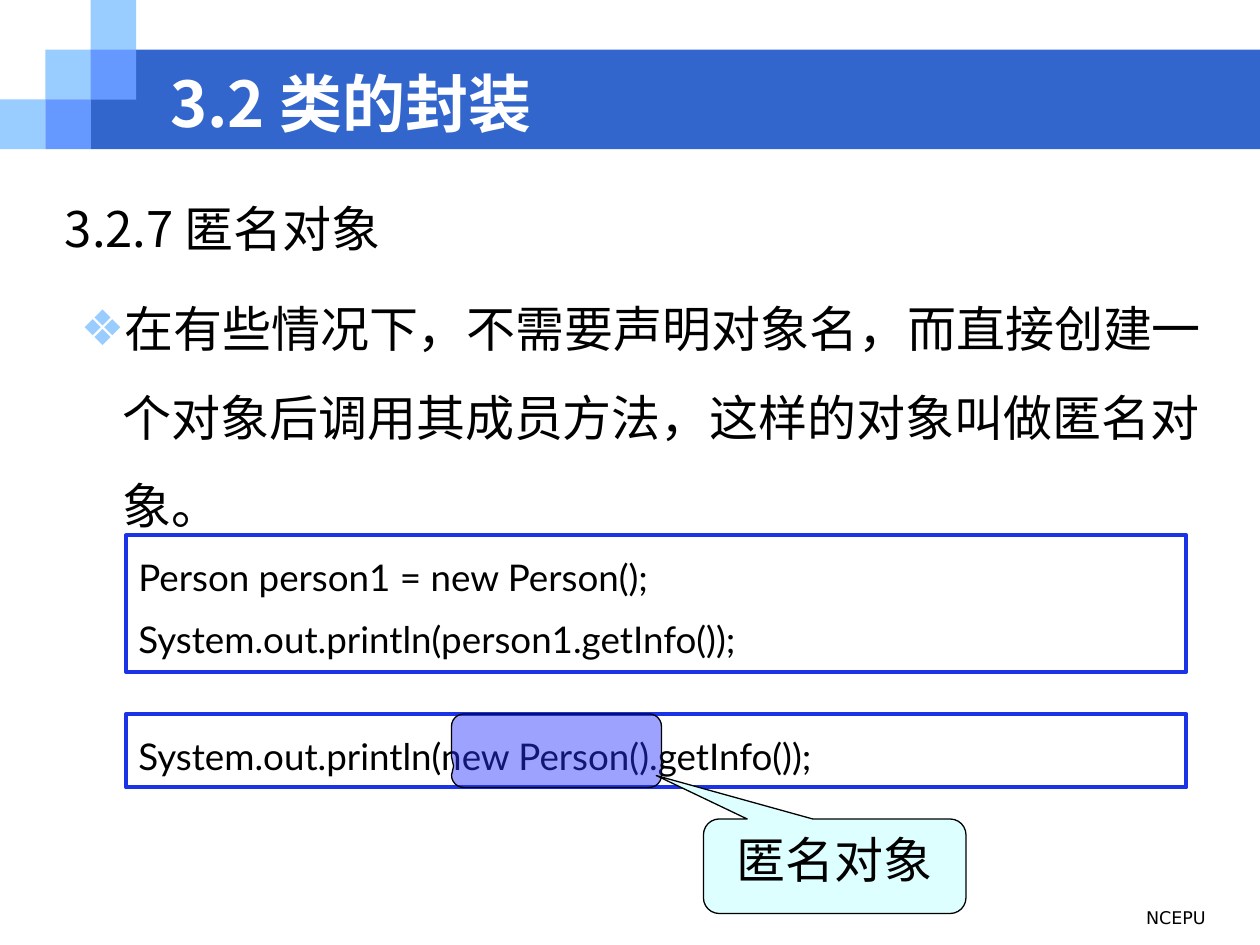
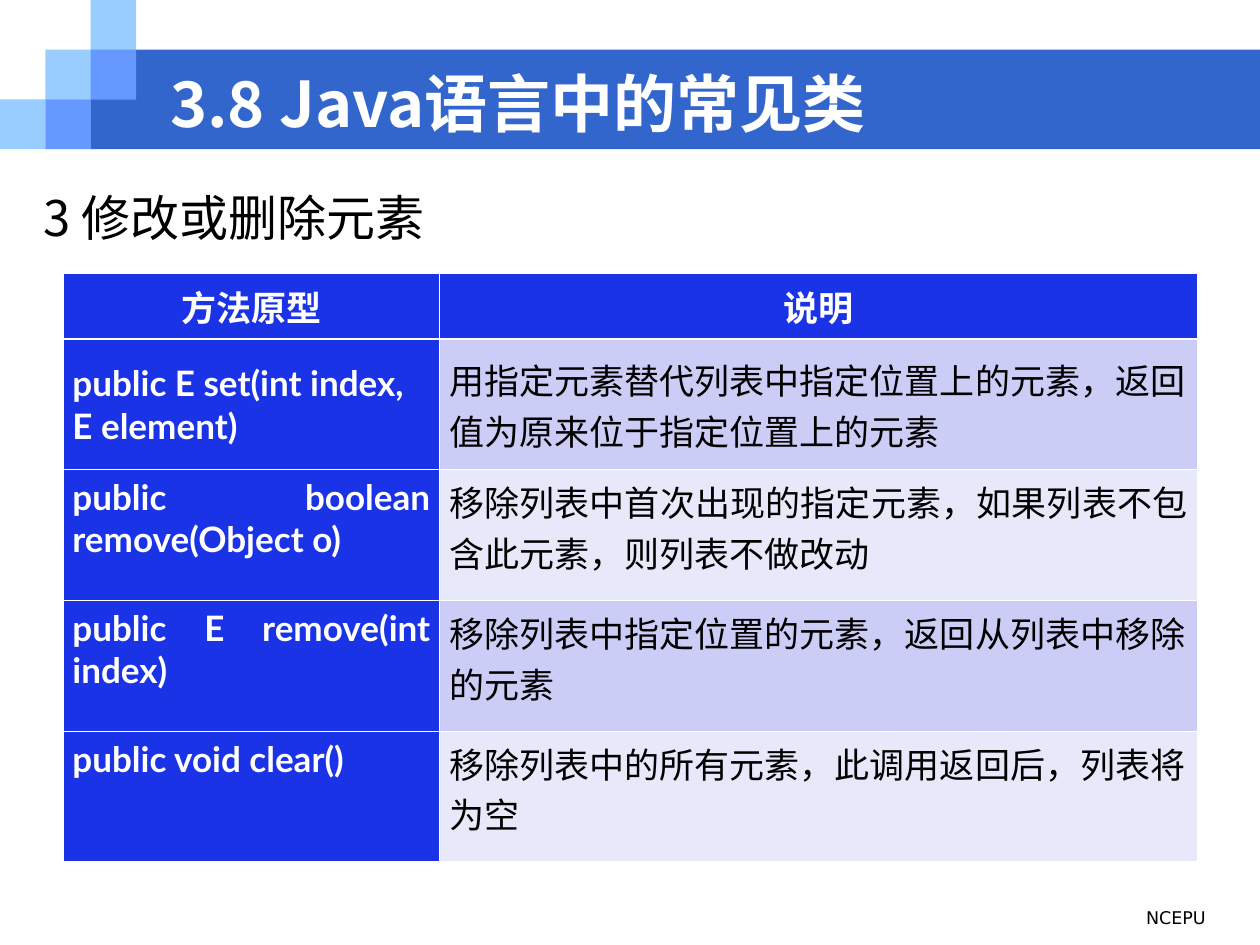
from lxml.etree import SubElement
from pptx import Presentation
from pptx.dml.color import RGBColor
from pptx.enum.shapes import MSO_SHAPE
from pptx.enum.text import MSO_ANCHOR, PP_ALIGN
from pptx.oxml import parse_xml
from pptx.oxml.ns import nsdecls, qn
from pptx.util import Pt

CJK, LATIN, FOOTER_FONT = "Noto Sans CJK SC", "Lato", "DejaVu Sans"
BAND, LIGHT, MID = "3366CC", "99CCFF", "6699FF"
BLUE, BLACK, WHITE = "1B33E7", "000000", "FFFFFF"
STRIPES = ["CCCDF6", "E7E8FA"]

BANDS = [
    (51.8, 28.4, 668.2, 56.8, BAND),
    (0, 56.8, 26, 28.5, LIGHT),
    (26, 28.4, 26, 28.5, LIGHT),
    (51.8, 0, 26, 28.5, LIGHT),
    (51.8, 28.4, 26, 28.5, MID),
    (26, 56.8, 26, 28.5, MID),
]
FOOTER = "NCEPU"

OBJECT_TITLE = "3.2 类的封装"
OBJECT_BODY = [
    "3.2.7 匿名对象",
    "在有些情况下，不需要声明对象名，而直接创建一个对象后调用其成员方法，这样的对象叫做匿名对象。",
]
CODE_BOXES = [
    (306, 78, ["Person person1 = new Person();", "System.out.println(person1.getInfo());"]),
    (408, 42, ["System.out.println(new Person().getInfo());"]),
]
CALLOUT = "匿名对象"

LIST_TITLE = "3.8 Java语言中的常见类"
LIST_BODY = ["3 修改或删除元素"]
COLUMNS = [215.3, 432.7]
HEADER_HEIGHT, ROW_HEIGHT = 37.4, 74.7
L, C, J = PP_ALIGN.LEFT, PP_ALIGN.CENTER, PP_ALIGN.JUSTIFY
METHODS = [
    (("方法原型", C), ("说明", C)),
    (("public E set(int index, E element)", L),
     ("用指定元素替代列表中指定位置上的元素，返回值为原来位于指定位置上的元素", L)),
    (("public boolean remove(Object o)", J),
     ("移除列表中首次出现的指定元素，如果列表不包含此元素，则列表不做改动", J)),
    (("public E remove(int index)", J), ("移除列表中指定位置的元素，返回从列表中移除的元素", L)),
    (("public void clear()", J), ("移除列表中的所有元素，此调用返回后，列表将为空", L)),
]


def rgb(color):
    """Turn a hex string into a colour."""
    return RGBColor.from_string(color)


def style(p, size, font, color=BLACK, bold=False, align=L):
    """Format a paragraph and its runs, with the CJK font for Chinese text."""
    p.alignment = align
    for r in p.runs:
        r.font.size, r.font.name, r.font.bold = Pt(size), font, bold
        r.font.color.rgb = rgb(color)
        SubElement(r.font._element, qn("a:ea")).set("typeface", CJK)


def add_shape(s, kind, box, fill, line=None, width=0.75):
    """Add a flat shape with an optional outline."""
    sp = s.shapes.add_shape(kind, *map(Pt, box))
    sp.shadow.inherit = False
    sp.fill.solid()
    sp.fill.fore_color.rgb = rgb(fill)
    if line:
        sp.line.color.rgb = rgb(line)
        sp.line.width = Pt(width)
    else:
        sp.line.fill.background()
    return sp


def set_text(sp, lines):
    """Fill a shape with wrapped paragraphs from the top and return them."""
    tf = sp.text_frame
    tf.word_wrap = True
    tf.vertical_anchor = MSO_ANCHOR.TOP
    tf.text = "\n".join(lines)
    return tf.paragraphs


def add_bullet(p):
    """Give a paragraph a hanging diamond bullet."""
    pPr = p._p.get_or_add_pPr()
    pPr.set("marL", str(Pt(33)))
    pPr.set("indent", str(Pt(-24)))
    SubElement(SubElement(pPr, qn("a:buClr")), qn("a:srgbClr")).set("val", LIGHT)
    SubElement(pPr, qn("a:buFont")).set("typeface", FOOTER_FONT)
    SubElement(pPr, qn("a:buChar")).set("char", "❖")


def add_slide(prs, title):
    """Add a slide with the bands, footer and title."""
    s = prs.slides.add_slide(prs.slide_layouts[5])
    for *box, color in BANDS:
        add_shape(s, MSO_SHAPE.RECTANGLE, box, color)
    footer = s.shapes.add_textbox(*map(Pt, (468, 515, 228, 25)))
    style(set_text(footer, [FOOTER])[0], 10, FOOTER_FONT, align=PP_ALIGN.RIGHT)
    sp = s.shapes.title
    s.shapes.element.append(sp.element)
    sp.left, sp.top, sp.width, sp.height = map(Pt, (90, 39.6, 582, 38.2))
    p = set_text(sp, [title])[0]
    sp.text_frame.vertical_anchor = MSO_ANCHOR.MIDDLE
    style(p, 36, CJK, WHITE, True)
    return s


def add_body(s, box, lines):
    """Add a heading line followed by bulleted paragraphs."""
    sp = s.shapes.add_textbox(*map(Pt, box))
    sp.text_frame.margin_top = Pt(6.6)
    for i, p in enumerate(set_text(sp, lines)):
        p.line_spacing = Pt(50.4)
        if i:
            p.space_before = Pt(7)
            add_bullet(p)
        style(p, 28, CJK)


def add_callout(s, box, fill, tip):
    """Add a rounded callout whose tip is given relative to its centre."""
    sp = add_shape(s, MSO_SHAPE.ROUNDED_RECTANGULAR_CALLOUT, box, fill, BLACK)
    sp.adjustments[0], sp.adjustments[1] = tip
    return sp


def set_borders(cell, top, bottom):
    """Give a cell white borders."""
    tcPr = cell._tc.get_or_add_tcPr()
    sides = {"lnL": 0.45, "lnR": 0.45, "lnT": top, "lnB": bottom}
    for i, (tag, width) in enumerate(sides.items()):
        tcPr.insert(i, parse_xml(
            f'<a:{tag} {nsdecls("a")} w="{Pt(width)}"><a:solidFill>'
            f'<a:srgbClr val="{WHITE}"/></a:solidFill></a:{tag}>'))


def add_methods(s):
    """Add the table of list methods."""
    height = HEADER_HEIGHT + ROW_HEIGHT * (len(METHODS) - 1)
    box = map(Pt, (36, 156.3, sum(COLUMNS), height))
    table = s.shapes.add_table(len(METHODS), len(COLUMNS), *box).table
    for column, width in zip(table.columns, COLUMNS):
        column.width = Pt(width)
    for i, row in enumerate(METHODS):
        table.rows[i].height = Pt(ROW_HEIGHT if i else HEADER_HEIGHT)
        for j, (text, align) in enumerate(row):
            cell = table.cell(i, j)
            strong = i == 0 or j == 0
            cell.text_frame.text = text
            cell.margin_left = cell.margin_right = Pt(5.4)
            cell.vertical_anchor = MSO_ANCHOR.MIDDLE if i < 2 else MSO_ANCHOR.TOP
            cell.fill.solid()
            cell.fill.fore_color.rgb = rgb(BLUE if strong else STRIPES[(i - 1) % 2])
            set_borders(cell, 1.47 if i == 1 else 0.45, 1.47 if i == 0 else 0.45)
            style(cell.text_frame.paragraphs[0], 20, LATIN,
                  WHITE if strong else BLACK, strong, align)


def build_object_slide(prs):
    """Build the slide on anonymous objects."""
    s = add_slide(prs, OBJECT_TITLE)
    add_body(s, (30, 90, 672, 414), OBJECT_BODY)
    for top, height, lines in CODE_BOXES:
        sp = add_shape(s, MSO_SHAPE.RECTANGLE, (72, top, 606, height), WHITE, BLUE, 2.25)
        for i, p in enumerate(set_text(sp, lines)):
            p.line_spacing = 1.3
            if i:
                p.space_before = Pt(2.6)
            style(p, 21, LATIN)
    marker = add_callout(s, (258, 408, 120, 42), "2832FF", (-0.49, 0.21))
    color = marker.fill._xPr.find(qn("a:solidFill"))[0]
    SubElement(color, qn("a:alpha")).set("val", "45000")
    sp = add_callout(s, (402, 468, 150, 54), "DDFFFF", (-0.68, -0.96))
    style(set_text(sp, [CALLOUT])[0], 28, CJK, align=C)


def build_list_slide(prs):
    """Build the slide on changing and removing list elements."""
    s = add_slide(prs, LIST_TITLE)
    add_body(s, (18, 84, 690, 456), LIST_BODY)
    add_methods(s)


def main():
    """Build and save the presentation."""
    prs = Presentation()
    prs.slide_width, prs.slide_height = Pt(720), Pt(540)
    build_object_slide(prs)
    build_list_slide(prs)
    prs.save("out.pptx")


if __name__ == "__main__":
    main()
